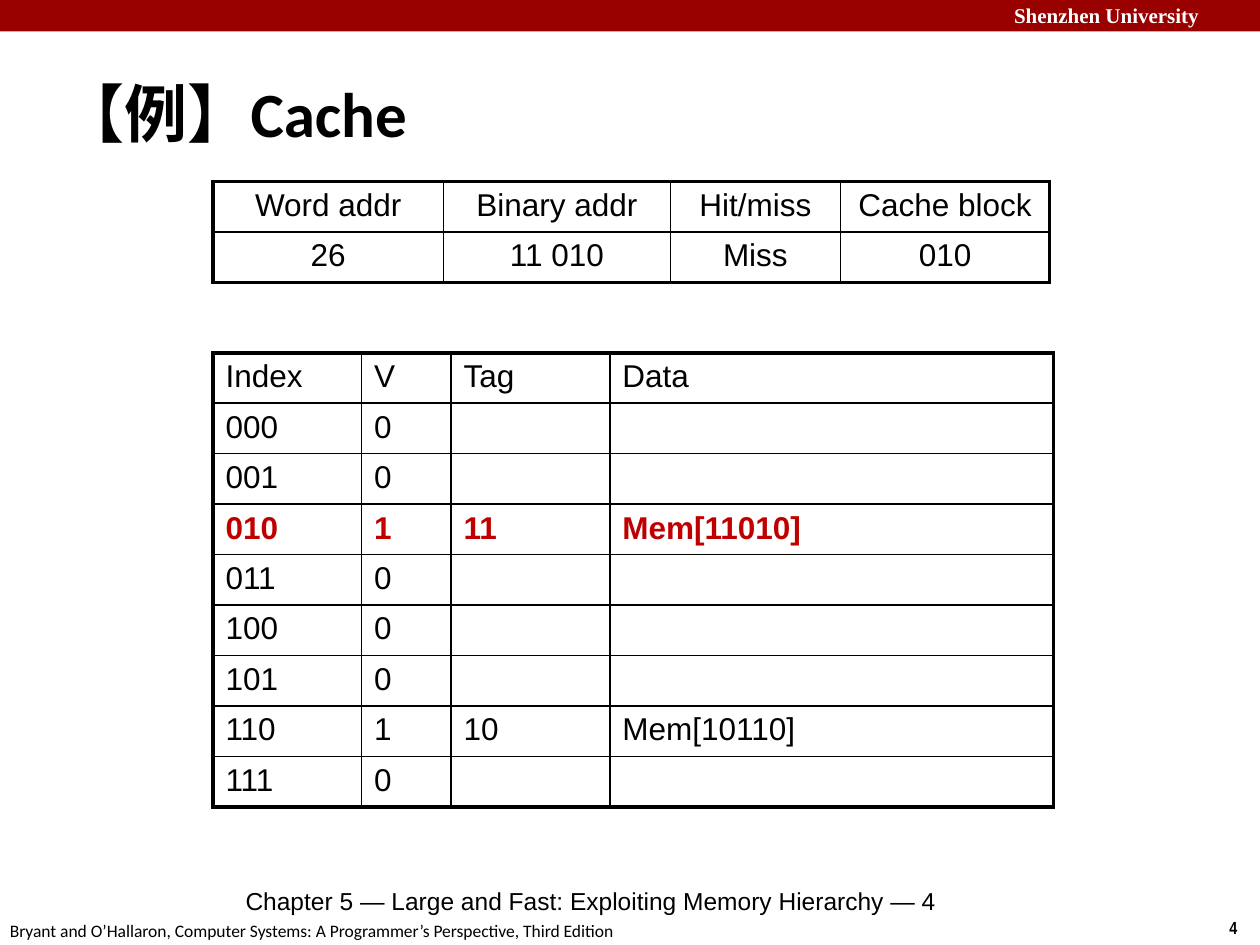
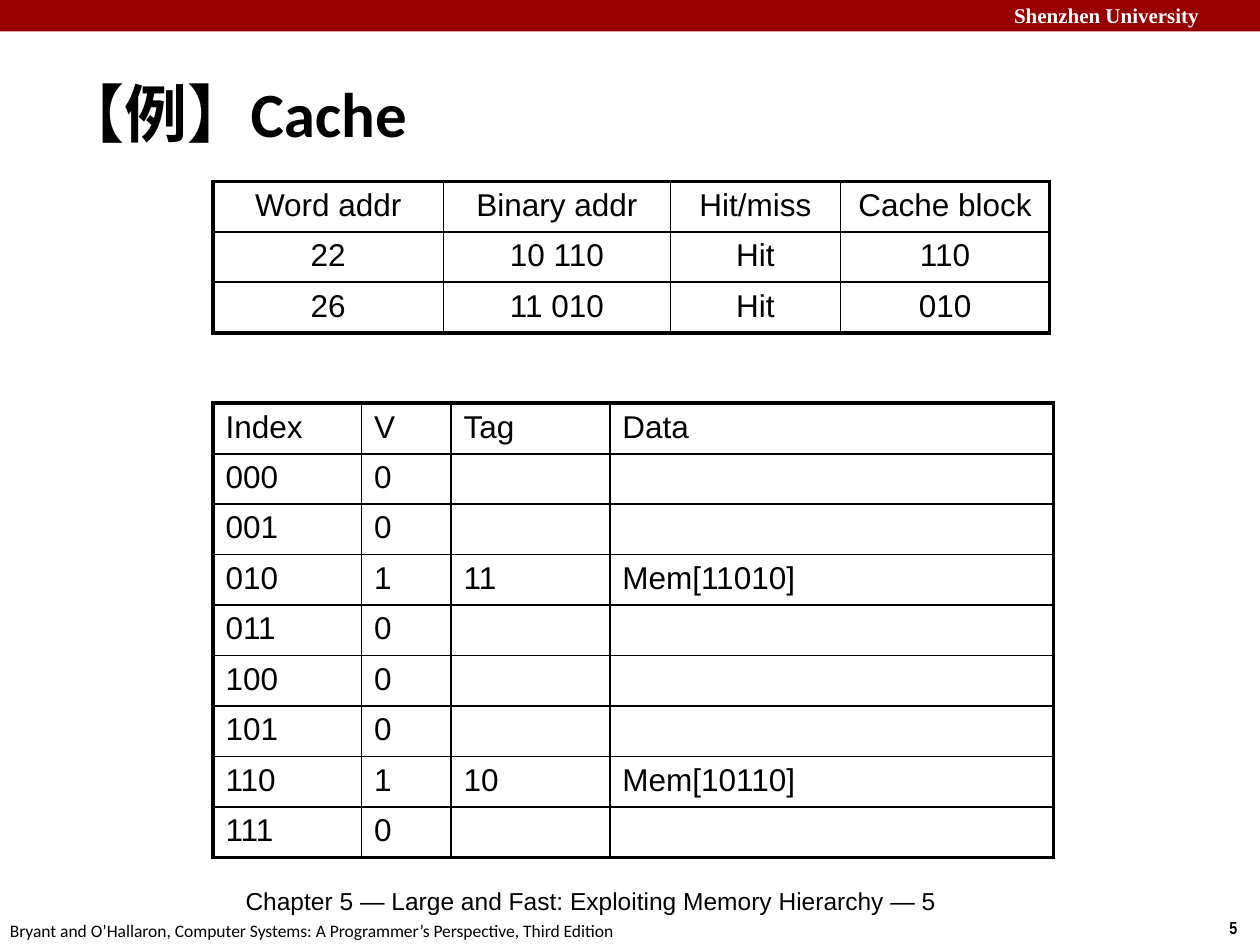
from lxml.etree import SubElement
from pptx import Presentation
from pptx.dml.color import RGBColor
from pptx.enum.shapes import MSO_SHAPE as SHAPE
from pptx.enum.text import MSO_ANCHOR as ANCHOR, PP_ALIGN as ALIGN
from pptx.oxml.ns import qn
from pptx.util import Inches, Pt

BLACK, WHITE, BAND_RED, HIGHLIGHT = "000000", "FFFFFF", "990000", "C00000"
TABLE_LEFT, TABLE_TOP, ROW, TABLE_GAP = 1.69, 1.44, 0.4, 0.56
THICK, MEDIUM, THIN = 2.25, 1.5, 1

ADDRESS_HEADER = ("Word addr", "Binary addr", "Hit/miss", "Cache block")
ADDRESS_COLS = (1.83, 1.8, 1.35, 1.66)
CACHE_HEADER = ("Index", "V", "Tag", "Data")
CACHE_COLS = (1.18, 0.71, 1.26, 3.52)
CACHED_TAGS = {"010": "11", "110": "10"}

# Slide number, address accesses, highlighted cache index
SLIDES = [
    (4, [("26", "11 010", "Miss", "010")], "010"),
    (5, [("22", "10 110", "Hit", "110"), ("26", "11 010", "Hit", "010")], None),
]


def rgb(hex_string):
    return RGBColor.from_string(hex_string)


def add_run(p, text, font, size, color=BLACK, bold=False):
    r = p.add_run()
    r.text = text
    r.font.name, r.font.size, r.font.bold = font, Pt(size), bold
    r.font.color.rgb = rgb(color)


cache_rows = [CACHE_HEADER]
for i in range(8):
    index = f"{i:03b}"
    tag = CACHED_TAGS.get(index, "")
    cache_rows.append((index, "1" if tag else "0", tag, f"Mem[{tag}{index}]" if tag else ""))

prs = Presentation()
prs.slide_width, prs.slide_height = Inches(10), Inches(7.5)

for number, accesses, highlighted in SLIDES:
    s = prs.slides.add_slide(prs.slide_layouts[6])

    # Top band
    band = s.shapes.add_shape(SHAPE.RECTANGLE, 0, 0, prs.slide_width, Inches(0.25))
    band.shadow.inherit = False
    band.fill.solid()
    band.fill.fore_color.rgb = rgb(BAND_RED)
    band.line.fill.background()

    # Band label, slide number, source line, chapter line and title
    texts = [
        ((7.95, -0.03, 2.12, 0.3), True, "Shenzhen University", "Times New Roman", 12, WHITE, True),
        ((9.66, 7.23, 0.34, 0.27), False, str(number), "Arial Narrow", 10, BLACK, True),
        ((-0.02, 7.25, 5.09, 0.27), False,
         "Bryant and O’Hallaron, Computer Systems: A Programmer’s Perspective, Third Edition",
         "Calibri", 10, BLACK, False),
        ((1.85, 6.98, 7.95, 0.39), True,
         f"Chapter 5 — Large and Fast: Exploiting Memory Hierarchy — {number}",
         "Arial", 14, BLACK, False),
        ((0.39, 0.48, 8.3, 0.83), True, "【例】Cache", "Calibri", 36, BLACK, True),
    ]
    for box, wrap, *run in texts:
        sp = s.shapes.add_textbox(*map(Inches, box))
        tf = sp.text_frame
        tf.word_wrap = wrap
        add_run(tf.paragraphs[0], *run)
    tf.vertical_anchor = ANCHOR.MIDDLE  # the title comes last

    # Address table above, cache contents below
    address_rows = [ADDRESS_HEADER, *accesses]
    cache_top = TABLE_TOP + ROW * len(address_rows) + TABLE_GAP
    tables = [
        (cache_top, CACHE_COLS, cache_rows, ALIGN.LEFT, THIN),
        (TABLE_TOP, ADDRESS_COLS, address_rows, ALIGN.CENTER, MEDIUM),
    ]
    for top, cols, rows, align, row_line in tables:
        frame = s.shapes.add_table(len(rows), len(cols), Inches(TABLE_LEFT), Inches(top),
                                   Inches(sum(cols)), Inches(ROW * len(rows)))
        table = frame.table
        table.first_row = table.horz_banding = False
        for column, width in zip(table.columns, cols):
            column.width = Inches(width)

        # Line widths from the top edge down and from the left edge across
        across = [THICK, MEDIUM] + [row_line] * (len(rows) - 2) + [THICK]
        down = [THICK] + [THIN] * (len(cols) - 1) + [THICK]
        for i, values in enumerate(rows):
            table.rows[i].height = Inches(ROW)
            marked = values[0] == highlighted and rows is cache_rows
            for j, value in enumerate(values):
                cell = table.cell(i, j)
                p = cell.text_frame.paragraphs[0]
                p.alignment = align
                if value:
                    add_run(p, value, "Arial", 18, HIGHLIGHT if marked else BLACK, marked)
                tcPr = cell._tc.get_or_add_tcPr()
                edges = {"a:lnL": down[j], "a:lnR": down[j + 1],
                         "a:lnT": across[i], "a:lnB": across[i + 1]}
                for tag, width in edges.items():
                    ln = SubElement(tcPr, qn(tag), w=str(Pt(width)))
                    SubElement(SubElement(ln, qn("a:solidFill")), qn("a:srgbClr"), val=BLACK)
                cell.fill.background()

prs.save("out.pptx")
